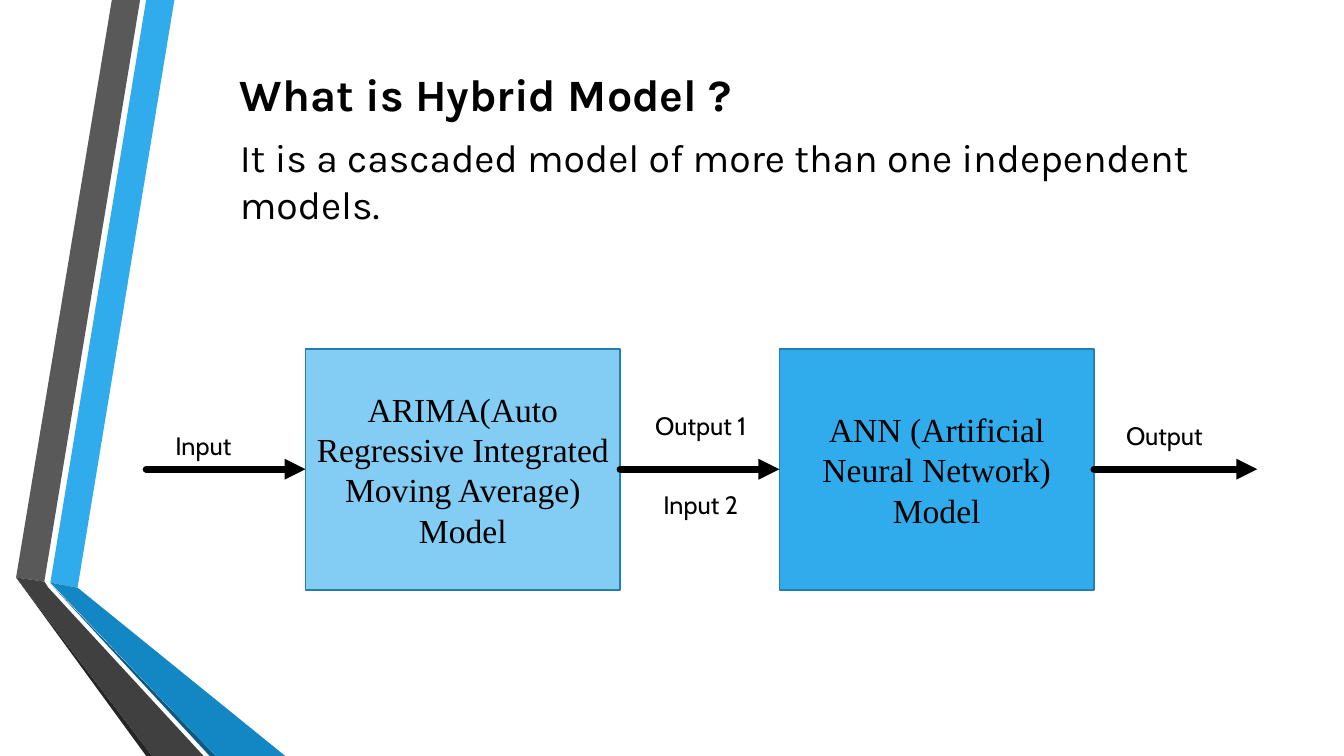
from dataclasses import dataclass

from lxml.etree import SubElement
from pptx import Presentation
from pptx.dml.color import RGBColor
from pptx.enum.shapes import MSO_CONNECTOR as Connector, MSO_SHAPE as Shape
from pptx.enum.text import MSO_ANCHOR as Anchor, MSO_AUTO_SIZE as AutoSize, PP_ALIGN as Align
from pptx.oxml.ns import qn
from pptx.util import Inches, Pt


@dataclass(frozen=True)
class Theme:
    black: str = "000000"
    light_blue: str = "83CDF4"
    blue: str = "30ACEC"
    mid_blue: str = "1287C3"
    deep_blue: str = "0C5A82"
    outline: str = "247FAF"
    gray: str = "595959"
    dark_gray: str = "404040"
    darkest_gray: str = "262626"
    heading_font: str = "Karla"
    model_font: str = "Times New Roman"
    label_font: str = "Cabin"
    title_size: int = 32
    body_size: int = 28
    model_size: int = 24
    label_size: int = 18


THEME = Theme()
MODEL_TOP, MODEL_WIDTH, MODEL_HEIGHT = 3.46, 3.12, 2.39
FLOW_Y = MODEL_TOP + MODEL_HEIGHT / 2
RIGHT_SIDE, LEFT_SIDE = 3, 1

RIBBONS = [
    (THEME.blue, [(0.5, 5.78), (0.77, 5.83), (1.73, 0), (1.45, 0)]),
    (THEME.gray, [(1.39, 0), (1.11, 0), (0.16, 5.73), (0.44, 5.77)]),
    (THEME.darkest_gray, [(0.16, 5.73), (1.45, 7.5), (1.51, 7.5)]),
    (THEME.deep_blue, [(0.5, 5.79), (2.08, 7.5), (2.14, 7.5)]),
    (THEME.mid_blue, [(0.5, 5.78), (2.14, 7.5), (2.83, 7.5), (0.77, 5.83)]),
    (THEME.dark_gray, [(2.02, 7.5), (0.48, 5.83), (0.44, 5.77), (0.16, 5.73), (1.51, 7.5)]),
]

LABELS = [
    ("Input", 1.64, 4.22, 0.92),
    ("Output 1", 6.4, 4.02, 1.17),
    ("Input 2", 6.48, 4.81, 1.09),
    ("Output", 11.07, 4.12, 1.17),
]


def rgb(color):
    return RGBColor.from_string(color)


def paint(shape, color):
    shape.shadow.inherit = False
    shape.fill.solid()
    shape.fill.fore_color.rgb = rgb(color)


def write(para, text, font, size, bold=False):
    span = para.add_run()
    span.text = text
    formats = {"name": font, "size": Pt(size), "bold": bold}
    for name, value in formats.items():
        setattr(span.font, name, value)
    span.font.color.rgb = rgb(THEME.black)


def add_text_box(page, left, top, width, height):
    box = page.shapes.add_textbox(Inches(left), Inches(top), Inches(width), Inches(height))
    box.text_frame.word_wrap = True
    box.text_frame.auto_size = AutoSize.SHAPE_TO_FIT_TEXT
    return box.text_frame


def add_ribbons(page):
    group = page.shapes.add_group_shape()
    for color, corners in RIBBONS:
        points = [(Inches(x), Inches(y)) for x, y in corners]
        outline = group.shapes.build_freeform(*points[0])
        outline.add_line_segments(points[1:], close=True)
        ribbon = outline.convert_to_shape()
        paint(ribbon, color)
        ribbon.line.fill.background()


def add_heading(page):
    frame = add_text_box(page, 2.28, 0.61, 10.38, 1.66)
    title = frame.paragraphs[0]
    write(title, "What is Hybrid Model ?", THEME.heading_font, THEME.title_size, bold=True)
    title.space_after = Pt(9.5)
    write(frame.add_paragraph(), "It is a cascaded model of more than one independent models.",
          THEME.heading_font, THEME.body_size)


def add_model(page, text, left, color):
    model = page.shapes.add_shape(Shape.RECTANGLE, Inches(left), Inches(MODEL_TOP),
                                  Inches(MODEL_WIDTH), Inches(MODEL_HEIGHT))
    paint(model, color)
    model.line.color.rgb = rgb(THEME.outline)
    model.line.width = Pt(1.25)
    frame = model.text_frame
    frame.word_wrap = True
    frame.vertical_anchor = Anchor.MIDDLE
    frame.paragraphs[0].alignment = Align.CENTER
    write(frame.paragraphs[0], text, THEME.model_font, THEME.model_size)
    return model


def add_arrow(page, start_x, end_x, source=None, target=None):
    """Draw a flow arrow, joined to the models it leaves and enters."""
    y = Inches(FLOW_Y)
    arrow = page.shapes.add_connector(Connector.STRAIGHT, Inches(start_x), y, Inches(end_x), y)
    if source is not None:
        arrow.begin_connect(source, RIGHT_SIDE)
    if target is not None:
        arrow.end_connect(target, LEFT_SIDE)
    arrow.line.color.rgb = rgb(THEME.black)
    arrow.line.width = Pt(5)
    line = arrow.line._get_or_add_ln()
    line.set("cap", "rnd")
    SubElement(line, qn("a:tailEnd"), type="triangle")
    SubElement(arrow._element.spPr, qn("a:effectLst"))


def add_label(page, text, left, top, width):
    frame = add_text_box(page, left, top, width, 0.4)
    write(frame.paragraphs[0], text, THEME.label_font, THEME.label_size)


def main():
    deck = Presentation()
    deck.slide_width, deck.slide_height = Inches(13.33), Inches(7.5)
    page = deck.slides.add_slide(deck.slide_layouts[6])
    add_ribbons(page)
    add_heading(page)
    arima = add_model(page, "ARIMA(Auto Regressive Integrated Moving Average) Model",
                      3.03, THEME.light_blue)
    ann = add_model(page, "ANN (Artificial Neural Network) Model", 7.73, THEME.blue)
    add_arrow(page, 6.15, 7.73, source=arima, target=ann)
    add_arrow(page, 1.45, 3.03, target=arima)
    add_arrow(page, 10.85, 12.47, source=ann)
    for label in LABELS:
        add_label(page, *label)
    deck.save("out.pptx")


if __name__ == "__main__":
    main()
